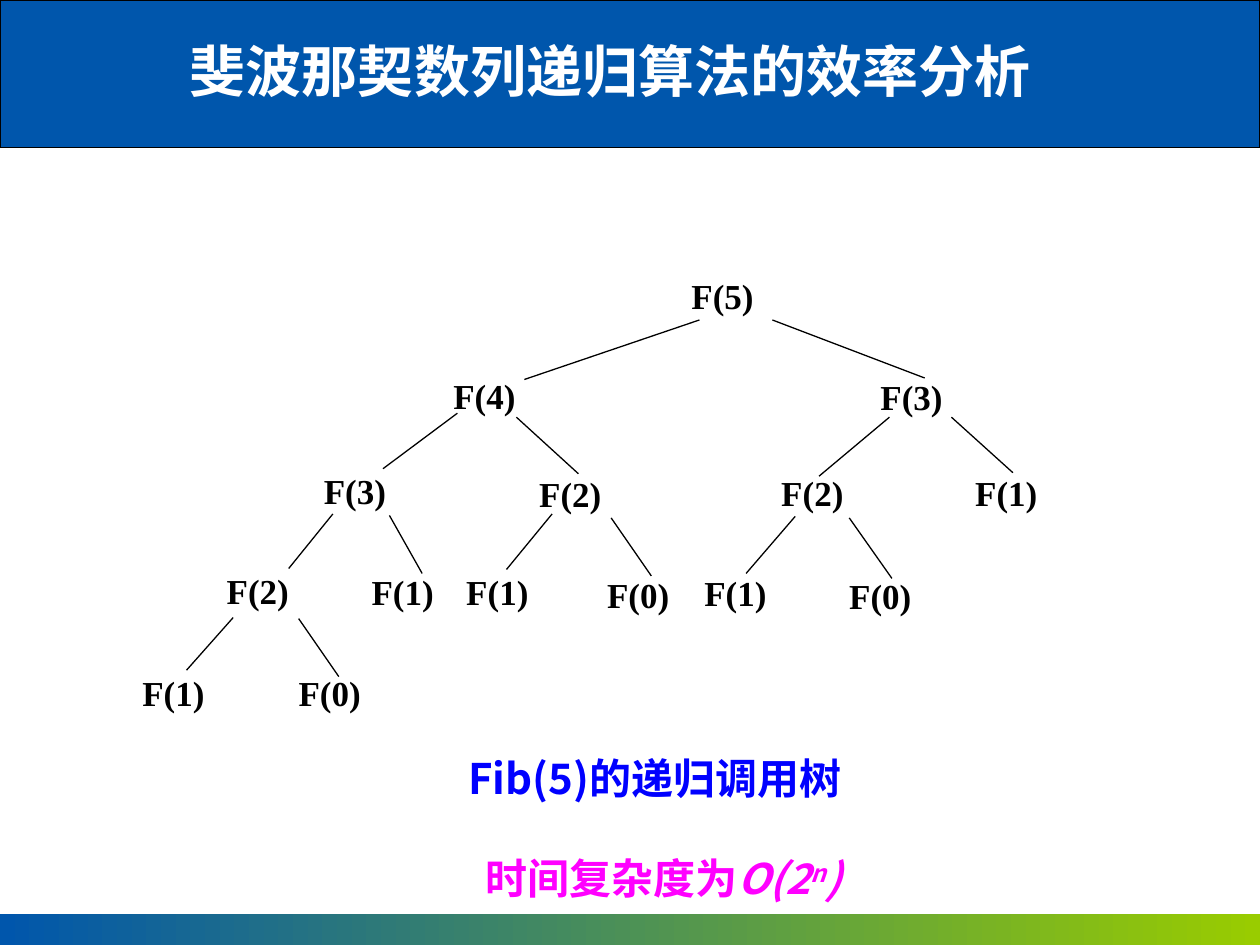
"""Build the slide on the recursive call tree of Fib(5)."""
from lxml.etree import SubElement
from pptx import Presentation
from pptx.dml.color import RGBColor
from pptx.enum.shapes import MSO_CONNECTOR as CONN, MSO_SHAPE as SHAPE
from pptx.enum.text import MSO_AUTO_SIZE as FIT, PP_ALIGN as ALIGN
from pptx.oxml.ns import qn
from pptx.util import Cm, Pt

SANS, SERIF = "Noto Sans CJK SC", "Times New Roman"
BLUE, GREEN, BLACK = "0056AC", "99CC00", "000000"


def rgb(value):
    return RGBColor.from_string(value)


def add_run(p, text, font, size, color):
    r = p.add_run()
    r.text = text
    r.font.name, r.font.size, r.font.bold = font, Pt(size), True
    r.font.color.rgb = rgb(color)
    SubElement(r.font._element, qn("a:ea"), typeface=font)
    return r


prs = Presentation()
prs.slide_width, prs.slide_height = Cm(25.4), Cm(19.05)
s = prs.slides.add_slide(prs.slide_layouts[6])

header = s.shapes.add_shape(SHAPE.RECTANGLE, 0, 0, Cm(25.4), Cm(2.97))
header.shadow.inherit = False
header.fill.solid()
header.fill.fore_color.rgb = rgb(BLUE)
header.line.color.rgb = rgb(BLACK)
header.line.width = Pt(0.75)

footer = s.shapes.add_shape(SHAPE.RECTANGLE, 0, Cm(18.42), Cm(25.4), Cm(0.63))
footer.shadow.inherit = False
footer.fill.gradient()
footer.fill.gradient_angle = 0
for stop, position, color in zip(footer.fill.gradient_stops, (0, 1), (BLUE, GREEN)):
    stop.position = position
    stop.color.rgb = rgb(color)
footer.line.fill.background()

captions = [
    ("斐波那契数列递归算法的效率分析", 3.58, 0.61, 17.53, 1.63, 32, "FFFFFF", False),
    ("Fib(5)的递归调用树", 9.19, 15.04, 11.63, 1.27, 24, "0000FF", True),
    ("时间复杂度为", 9.53, 17.07, 8.03, 1.27, 24, "FF00FF", False),
]
for text, x, y, w, h, size, color, wrap in captions:
    sp = s.shapes.add_textbox(Cm(x), Cm(y), Cm(w), Cm(h))
    tf = sp.text_frame
    tf.word_wrap = wrap
    tf.auto_size = FIT.SHAPE_TO_FIT_TEXT
    p = tf.paragraphs[0]
    add_run(p, text, SANS, size, color)

for text, baseline in (("O(2", 0), ("n", 30000), (")", 0)):
    r = add_run(p, text, SANS, 24, "FF00FF")
    r.font.italic = True
    r.font._element.set("baseline", str(baseline))

edges = [
    (14.1, 6.45, 10.57, 7.65), (15.57, 6.45, 18.64, 7.62),
    (9.22, 8.33, 7.72, 9.45), (10.41, 8.41, 11.66, 9.55),
    (17.93, 8.41, 16.51, 9.6), (19.18, 8.41, 20.42, 9.53),
    (6.71, 10.36, 5.82, 11.46), (7.85, 10.39, 8.51, 11.56),
    (11.13, 10.36, 10.21, 11.48), (12.32, 10.44, 13.13, 11.61),
    (16.03, 10.41, 15.04, 11.56), (17.12, 10.44, 17.98, 11.66),
    (4.7, 12.45, 3.76, 13.51), (6.02, 12.47, 6.83, 13.64),
]
for edge in edges:
    line = s.shapes.add_connector(CONN.STRAIGHT, *map(Cm, edge))
    line.line.color.rgb = rgb(BLACK)
    line.line.width = Pt(0.75)
    SubElement(line._element.spPr, qn("a:effectLst"))

nodes = [
    (5, 13.94, 5.54),
    (4, 9.14, 7.54), (3, 17.75, 7.57),
    (3, 6.53, 9.47), (2, 10.87, 9.53), (2, 15.75, 9.5), (1, 19.66, 9.5),
    (2, 4.57, 11.48), (1, 7.49, 11.51), (1, 9.4, 11.51),
    (0, 12.24, 11.56), (1, 14.2, 11.53), (0, 17.12, 11.58),
    (1, 2.87, 13.54), (0, 6.02, 13.54),
]
for n, x, y in nodes:
    sp = s.shapes.add_textbox(Cm(x), Cm(y), Cm(2.03), Cm(0.81))
    tf = sp.text_frame
    tf.word_wrap = True
    tf.margin_left = tf.margin_right = tf.margin_top = tf.margin_bottom = 0
    p = tf.paragraphs[0]
    p.alignment = ALIGN.JUSTIFY
    add_run(p, f"F({n})", SERIF, 20, BLACK)

prs.save("out.pptx")
